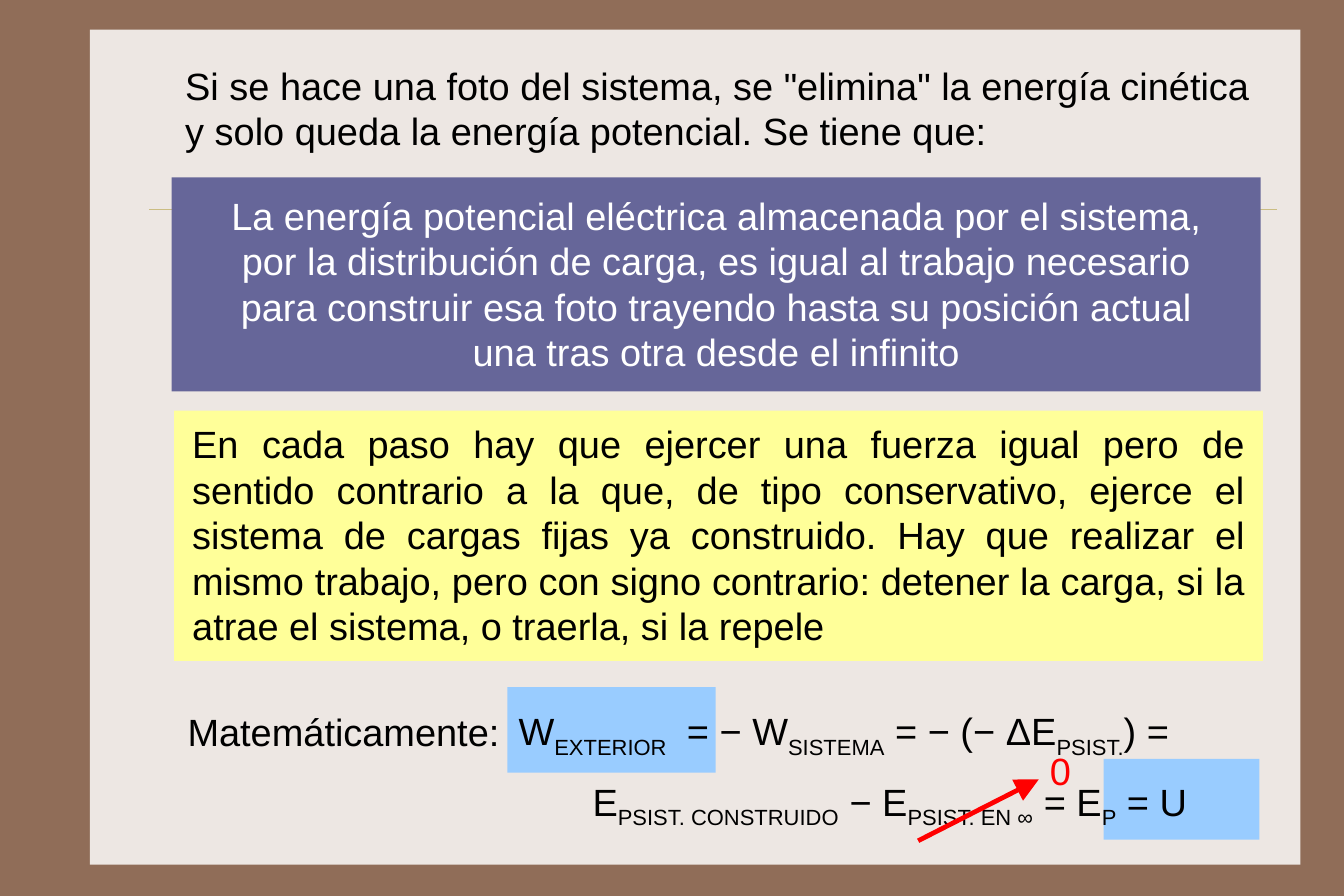
import pptx
import pptx.util
import pptx.dml.color
import pptx.enum.shapes
import pptx.enum.text
import pptx.oxml
import pptx.oxml.ns

Inches, Pt = pptx.util.Inches, pptx.util.Pt
RGBColor = pptx.dml.color.RGBColor
Align = pptx.enum.text.PP_ALIGN
Shape = pptx.enum.shapes.MSO_SHAPE

BROWN = RGBColor(0x90, 0x6D, 0x58)
CREAM = RGBColor(0xED, 0xE7, 0xE3)
SAND = RGBColor(0xCB, 0xBD, 0x83)
PURPLE = RGBColor(0x66, 0x66, 0x99)
YELLOW = RGBColor(0xFF, 0xFF, 0x99)
BLUE = RGBColor(0x99, 0xCC, 0xFF)
RED = RGBColor(0xFF, 0x00, 0x00)
WHITE = RGBColor(0xFF, 0xFF, 0xFF)
BLACK = RGBColor(0x00, 0x00, 0x00)

XMLNS = pptx.oxml.ns.nsdecls("a")
INTRO = ('Si se hace una foto del sistema, se "elimina" la energía cinética '
         "y solo queda la energía potencial. Se tiene que:")
CLAIM = "\n".join([
    "La energía potencial eléctrica almacenada por el sistema,",
    "por la distribución de carga, es igual al trabajo necesario",
    "para construir esa foto trayendo hasta su posición actual",
    "una tras otra desde el infinito"])
STEPS = ("En cada paso hay que ejercer una fuerza igual pero de sentido "
         "contrario a la que, de tipo conservativo, ejerce el sistema de "
         "cargas fijas ya construido. Hay que realizar el mismo trabajo, "
         "pero con signo contrario: detener la carga, si la atrae el "
         "sistema, o traerla, si la repele")
# Pieces alternate between baseline and subscript.
WORK = ["W", "EXTERIOR", "\t= − W", "SISTEMA", " = − (− ΔE", "PSIST.", ") ="]
ENERGY = ["E", "PSIST. CONSTRUIDO", " − E", "PSIST. EN ∞", " = E", "P", " = U"]


def add_rect(slide, box, fill):
    rect = slide.shapes.add_shape(Shape.RECTANGLE, *map(Inches, box))
    rect.shadow.inherit = False
    rect.fill.solid()
    rect.fill.fore_color.rgb = fill
    rect.line.fill.background()
    return rect


def add_line(slide, start, end, color, width):
    line = slide.shapes.add_connector(
        pptx.enum.shapes.MSO_CONNECTOR.STRAIGHT, *map(Inches, start + end))
    line.line.color.rgb = color
    line.line.width = Pt(width)
    line._element.spPr.append(pptx.oxml.parse_xml(f"<a:effectLst {XMLNS}/>"))
    return line


def add_text(slide, box, text="", color=BLACK):
    label = slide.shapes.add_textbox(*map(Inches, box))
    fill_text(label, text, color)
    return label


def fill_text(shape, text, color, align=Align.LEFT, inset=(0.1, 0.05)):
    frame = shape.text_frame
    frame.word_wrap = True
    frame.vertical_anchor = pptx.enum.text.MSO_ANCHOR.TOP
    frame.margin_left = frame.margin_right = Inches(inset[0])
    frame.margin_top = frame.margin_bottom = Inches(inset[1])
    frame.text = text
    for para in frame.paragraphs:
        para.alignment = align
        for run in para.runs:
            style_run(run, color)


def style_run(run, color):
    run.font.name = "Arial"
    run.font.size = Pt(24)
    run.font.color.rgb = color


def add_terms(para, terms):
    """Add the pieces in turn, every second one as a subscript."""
    for i, term in enumerate(terms):
        run = para.add_run()
        run.text = term
        style_run(run, BLACK)
        if i % 2:
            run.font._element.set("baseline", "-25000")


def draw_frame(slide, box):
    left, top, width, height = box
    slide.background.fill.solid()
    slide.background.fill.fore_color.rgb = BROWN
    add_rect(slide, box, CREAM)
    rule = top + 1.58
    add_line(slide, (left + 0.52, rule), (left + width - 0.21, rule), SAND, 0.25)


def draw_panels(slide, box):
    left, top, width, height = box
    claim = add_rect(slide, (left, top, width, 1.88), PURPLE)
    fill_text(claim, CLAIM, WHITE, Align.CENTER, (0.14, 0.13))
    steps = add_rect(slide, (left + 0.02, top + height - 2.2, width, 2.2), YELLOW)
    fill_text(steps, STEPS, BLACK, Align.JUSTIFY, (0.16, 0.09))


def draw_math(slide, box):
    left, top, width, height = box
    start = left + 2.91
    add_rect(slide, (left + 8.15, top + 0.63, 1.37, 0.71), BLUE)
    add_rect(slide, (start, top, 1.83, 0.75), BLUE)

    sums = add_text(slide, (start, top + 0.09, width - 2.91, 1.19))
    frame = sums.text_frame
    frame.margin_top = frame.margin_bottom = Inches(0.09)
    work, energy = frame.paragraphs[0], frame.add_paragraph()
    add_terms(work, WORK)
    add_terms(energy, ENERGY)
    energy.space_before = Pt(12)
    props = energy._p.get_or_add_pPr()
    props.set("marL", str(Inches(0.65)))
    props.set("indent", "0")
    work._p.get_or_add_pPr().append(pptx.oxml.parse_xml(
        f'<a:tabLst {XMLNS}><a:tab pos="{Inches(1.48)}" algn="l"/></a:tabLst>'))

    draw_zero(slide, (left + 6.52, top + 0.48, 1.45, 0.87))
    add_text(slide, (left, top + 0.14, 3.06, 0.5), "Matemáticamente:")


def draw_zero(slide, box):
    """Strike out the term at infinity and mark it as zero."""
    left, top, width, height = box
    tip = left + width - 0.39
    arrow = add_line(slide, (left, top + height), (tip, top + 0.33), RED, 3)
    arrow.line._get_or_add_ln().append(pptx.oxml.parse_xml(
        f'<a:tailEnd {XMLNS} type="triangle" w="lg" len="lg"/>'))
    zero = add_text(slide, (tip, top, 0.39, 0.5), "0", RED)
    zero.text_frame.word_wrap = False


def main():
    deck = pptx.Presentation()
    deck.slide_width, deck.slide_height = Inches(189 / 16), Inches(63 / 8)
    slide = deck.slides.add_slide(deck.slide_layouts[6])
    draw_frame(slide, (0.79, 0.26, 10.64, 7.34))
    draw_panels(slide, (1.51, 1.56, 9.57, 4.25))
    draw_math(slide, (1.55, 6.04, 9.88, 1.35))
    add_text(slide, (1.53, 0.5, 9.56, 0.91), INTRO)
    deck.save("out.pptx")


if __name__ == "__main__":
    main()
